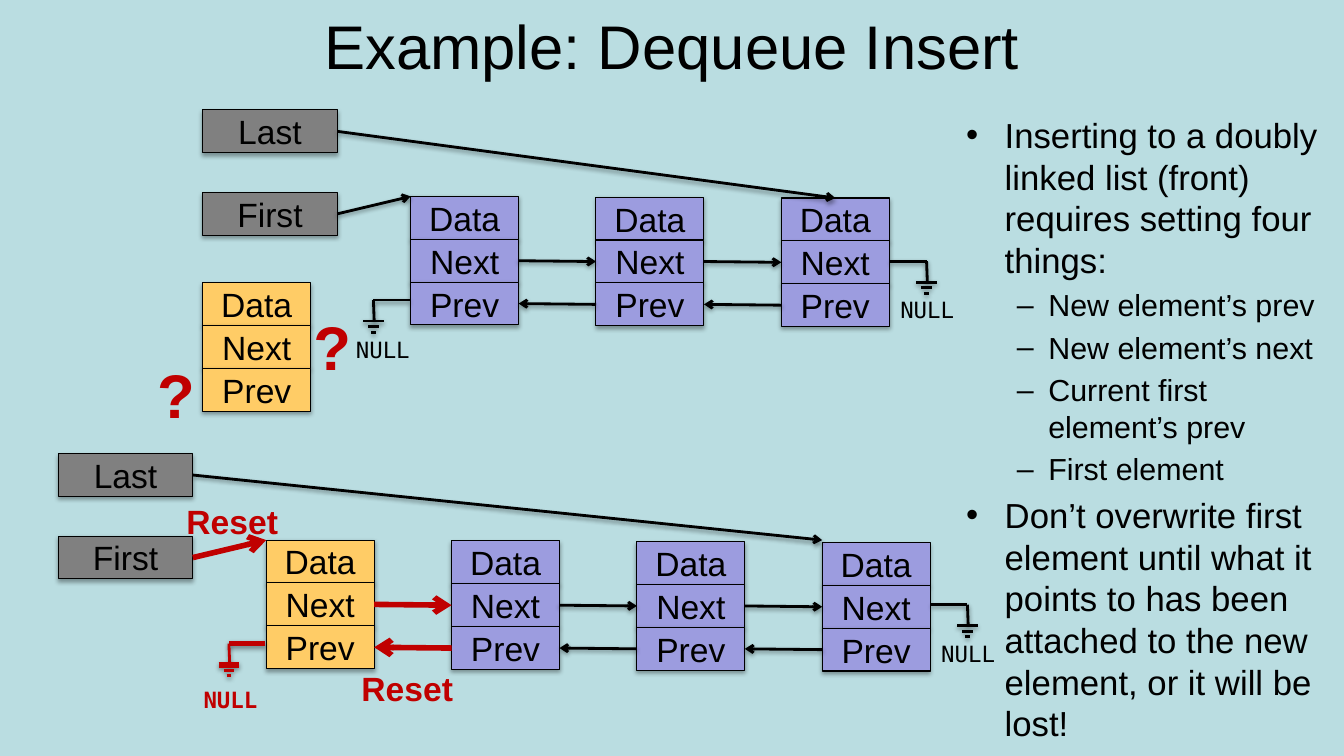
from dataclasses import dataclass

from lxml import etree
from pptx import Presentation
from pptx import util as u
from pptx.dml.color import RGBColor
from pptx.enum import shapes, text
from pptx.oxml import ns


@dataclass(frozen=True)
class Theme:
    """Colours, fonts and type sizes of the slide."""
    back: str = "BADDE1"
    ink: str = "000000"
    red: str = "C00000"
    gold: str = "FFCC66"
    blue: str = "9C9CDF"
    grey: str = "808080"
    sans: str = "Arial"
    mono: str = "DejaVu Sans Mono"
    head: float = 44
    item: float = 24.8
    sub: float = 21.7
    cell: float = 24
    null: float = 16


T = Theme()
CELL_W, CELL_H, STEP, DRIFT = 2.72, 1.08, 4.67, 0.02
TAG_W, TAG_GAP = 3.39, 2.08
NODE_X, NODE_Y = 5.24, 2.18
POINTS = [
    (0, "Inserting to a doubly linked list (front) requires setting four things:"),
    (1, "New element’s prev"),
    (1, "New element’s next"),
    (1, "Current first element’s prev"),
    (1, "First element"),
    (0, "Don’t overwrite first element until what it points to has been "
        "attached to the new element, or it will be lost!"),
]


def add(parent, tag, **attrs):
    """Append a drawing element with the given attributes."""
    child = etree.SubElement(parent, ns.qn(tag))
    for key, value in attrs.items():
        child.set(key, str(value))
    return child


def shade(shape, alpha, drop):
    """Give a shape a soft shadow, or none when alpha is zero."""
    effects = add(shape.element.spPr, "a:effectLst")
    if alpha:
        outer = add(effects, "a:outerShdw", blurRad=40000, dist=drop,
                    dir=5400000, rotWithShape=0)
        add(add(outer, "a:srgbClr", val=T.ink), "a:alpha", val=alpha * 1000)


def style(para, size, color=T.ink, face=T.sans, bold=False):
    """Format all runs of a paragraph."""
    for run in para.runs:
        font = run.font
        font.size, font.name, font.bold = u.Pt(size), face, bold
        font.color.rgb = RGBColor.from_string(color)


def note(slide, x, y, wide, words, size, color=T.red, face=T.sans, bold=True):
    """Place a short free label."""
    box = slide.shapes.add_textbox(u.Cm(x), u.Cm(y), u.Cm(wide), u.Cm(1))
    frame = box.text_frame
    frame.word_wrap = True
    frame.text = words
    style(frame.paragraphs[0], size, color, face, bold)


def block(slide, x, y, wide, words, fill):
    """Draw one labelled cell."""
    box = slide.shapes.add_shape(shapes.MSO_SHAPE.RECTANGLE, u.Cm(x), u.Cm(y),
                                 u.Cm(wide), u.Cm(CELL_H))
    box.fill.solid()
    box.fill.fore_color.rgb = RGBColor.from_string(fill)
    box.line.color.rgb = RGBColor.from_string(T.ink)
    box.line.width = u.Pt(0.75)
    shade(box, 35, 23000)
    frame = box.text_frame
    frame.text = words
    frame.vertical_anchor = text.MSO_ANCHOR.MIDDLE
    frame.paragraphs[0].alignment = text.PP_ALIGN.CENTER
    style(frame.paragraphs[0], T.cell)
    return box


def node(slide, x, y, fill):
    """Stack the three cells of a list element."""
    return [block(slide, x, y + row * CELL_H, CELL_W, words, fill)
            for row, words in enumerate(("Data", "Next", "Prev"))]


def wire(slide, start, end, color=T.ink, width=2, arrow=False):
    """Draw a line between two ends, each a point or a (shape, side) pair."""
    points = [(0, 0) if hasattr(p[0], "shape_id") else (u.Cm(p[0]), u.Cm(p[1]))
              for p in (start, end)]
    line = slide.shapes.add_connector(shapes.MSO_CONNECTOR.STRAIGHT,
                                      *points[0], *points[1])
    if hasattr(start[0], "shape_id"):
        line.begin_connect(*start)
    if hasattr(end[0], "shape_id"):
        line.end_connect(*end)
    line.line.color.rgb = RGBColor.from_string(color)
    line.line.width = u.Pt(width)
    if arrow:
        add(line.get_or_add_ln(), "a:tailEnd", type="arrow")
    shade(line, 0 if arrow and color == T.red else 38, 20000)


def ground(slide, x, y, side, color=T.ink, shift=(-0.91, 0.76)):
    """Draw a NULL end that leaves the point towards the given side."""
    tip, thick = x + side * 0.91, 4 if color == T.red else 2
    wire(slide, (x, y), (tip, y), color, thick)
    wire(slide, (tip, y), (tip + 0.02, y + 0.53), color)
    for half, drop, width in ((0.26, 0.53, thick), (0.13, 0.67, 2), (0.06, 0.81, 2)):
        wire(slide, (tip - half, y + drop), (tip + half, y + drop), color, width)
    note(slide, tip + shift[0], y + shift[1], 2.1, "NULL", T.null, color,
         T.mono, color == T.red)


def queue(slide, x, y, fills):
    """Draw a linked list with its two pointers; a gold head is newly set."""
    fresh = fills[0] == T.gold
    last = block(slide, x, y, TAG_W, "Last", T.grey)
    first = block(slide, x, y + TAG_GAP, TAG_W, "First", T.grey)
    left, top = x + NODE_X, y + NODE_Y
    nodes = [node(slide, left + i * STEP, top + i * DRIFT, fill)
             for i, fill in enumerate(fills)]
    end = left + (len(fills) - 1) * STEP
    hot = (T.red, 4) if fresh else (T.ink, 2)
    wire(slide, (last, 3), (end, top) if fresh else (nodes[-1][0], 0), arrow=True)
    wire(slide, (first, 3), (left, top), *hot, arrow=True)
    for i, (here, after) in enumerate(zip(nodes, nodes[1:])):
        look = (T.ink, 2) if i else hot
        wire(slide, (here[1], 3), (after[1], 1), *look, arrow=True)
        wire(slide, (after[2], 1), (here[2], 3), *look, arrow=True)
    ground(slide, end + CELL_W + 0.03, top + 1.63, 1)
    ground(slide, left - 0.03, top + 2.61, -1, hot[0],
           (-0.89, 0.94) if fresh else (-0.69, 0.78))


def spare(slide, x, y):
    """Draw the new element with its open links."""
    node(slide, x, y, T.gold)
    for dx, dy in ((-1.4, 1.74), (2.54, 0.55)):
        note(slide, x + dx, y + dy, 1.04, "?", T.head)


def heading(slide, x, y, wide, high):
    """Place and format the title."""
    title = slide.shapes.title
    title.left, title.top, title.width, title.height = map(u.Cm, (x, y, wide, high))
    frame = title.text_frame
    frame.text = "Example: Dequeue Insert"
    frame.vertical_anchor = text.MSO_ANCHOR.MIDDLE
    frame.paragraphs[0].alignment = text.PP_ALIGN.CENTER
    style(frame.paragraphs[0], T.head)


def points(slide, x, y, wide, high):
    """Write the bulleted list."""
    box = slide.shapes.add_textbox(*map(u.Cm, (x, y, wide, high)))
    frame = box.text_frame
    frame.word_wrap = True
    for i, (level, words) in enumerate(POINTS):
        para = frame.add_paragraph() if i else frame.paragraphs[0]
        para.text, para.level = words, level
        size, mark, left, hang = ((T.sub, "–", 2.07, 0.79) if level
                                  else (T.item, "•", 0.97, 0.97))
        props = para._p.get_or_add_pPr()
        props.set("marL", str(u.Cm(left)))
        props.set("indent", str(-u.Cm(hang)))
        add(props, "a:buFont", typeface=T.sans)
        add(props, "a:buChar", char=mark)
        para.line_spacing = 1.0
        para.space_before = u.Pt(size / 5 if i else 0)
        style(para, size)


def main():
    """Build and save the slide."""
    deck = Presentation()
    deck.slide_width, deck.slide_height = u.Cm(33.87), u.Cm(19.05)
    slide = deck.slides.add_slide(deck.slide_layouts[5])
    slide.background.fill.solid()
    slide.background.fill.fore_color.rgb = RGBColor.from_string(T.back)
    heading(slide, 5.51, 0, 22.86, 2.26)
    points(slide, 24.1, 2.74, 9.75, 15.19)
    spare(slide, 5.11, 7.12)
    queue(slide, 5.11, 2.77, [T.blue] * 3)
    queue(slide, 1.47, 11.43, [T.gold] + [T.blue] * 3)
    for x, y in ((8.86, 16.71), (4.45, 12.5)):
        note(slide, x, y, 2.9, "Reset", T.cell)
    deck.save("out.pptx")


if __name__ == "__main__":
    main()
